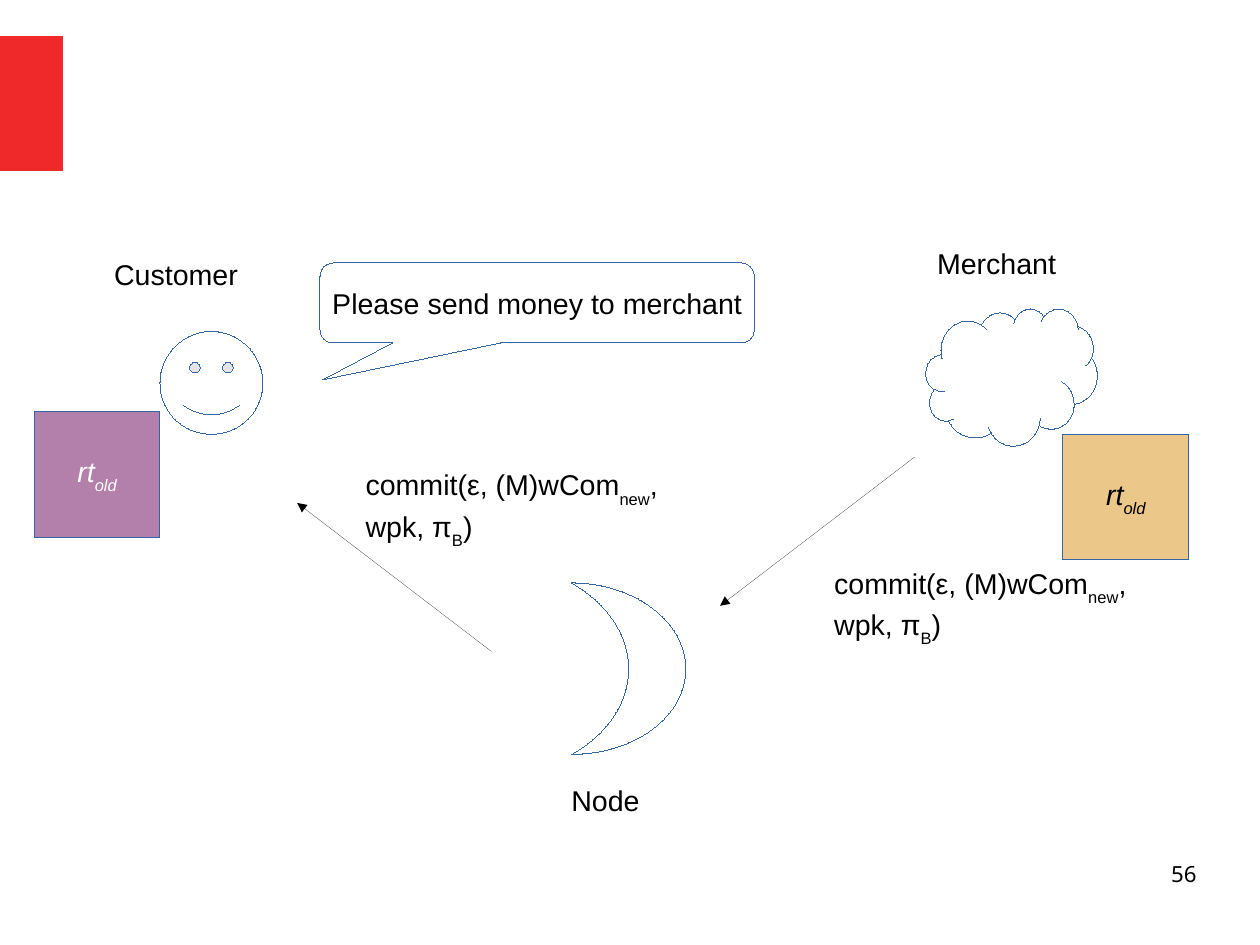
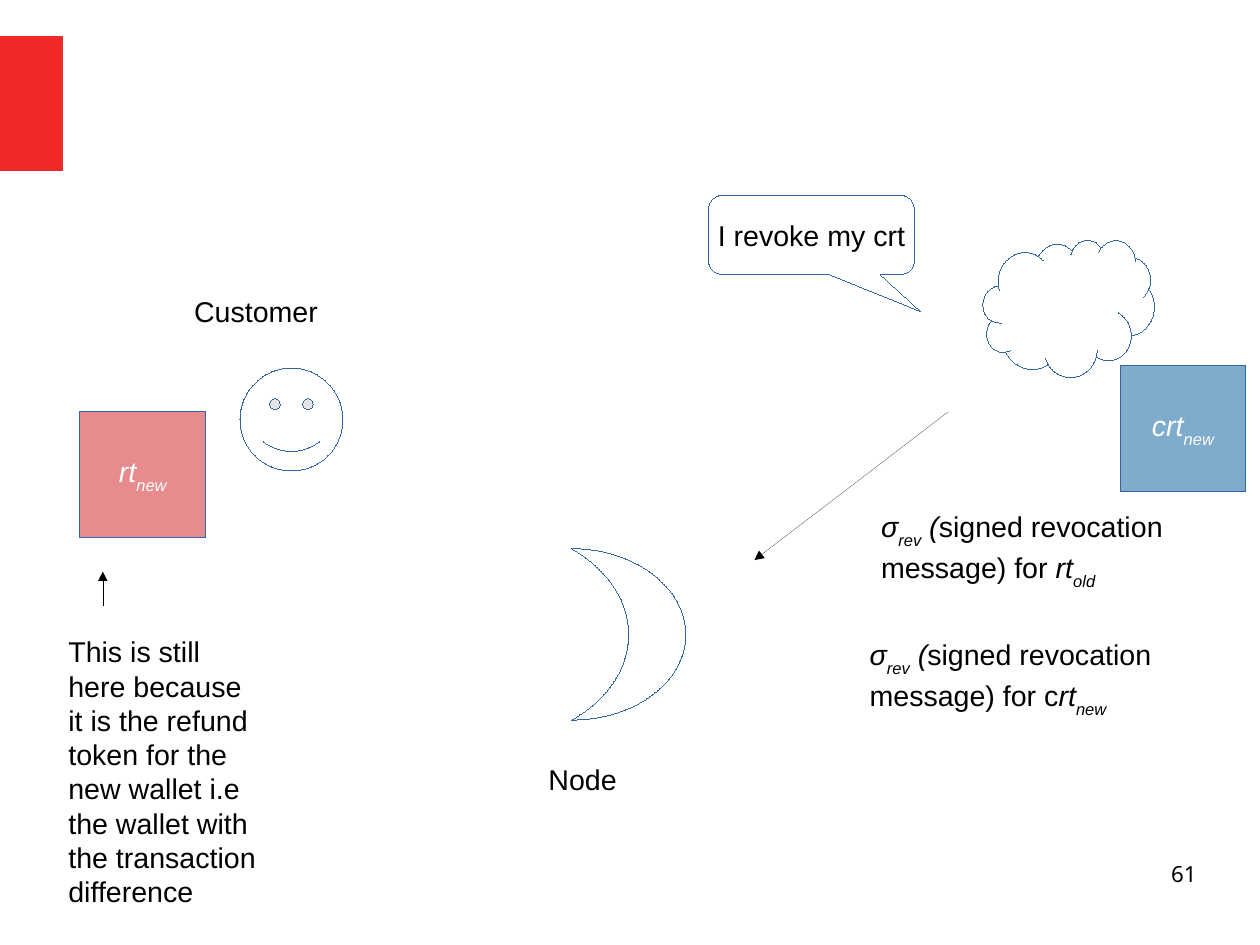
from pptx import Presentation
from pptx import util as u
from pptx.dml.color import RGBColor
from pptx.enum import shapes, text
from pptx.oxml.ns import qn
from lxml import etree

# Shared look
CELL = 0.1  # inches per grid column and row
RED, OUTLINE, WHITE, BLACK = "EF2929", "3465A4", "FFFFFF", "000000"
FONT, NUMBER_FONT = "Arial", "Noto Sans"
ITALIC, SUB, ITALIC_SUB = "i", "s", "is"
TOKEN_SIDE = 11
KIND = shapes.MSO_SHAPE


def cells(*counts):
    return [u.Inches(count * CELL) for count in counts]


def color(value):
    return RGBColor.from_string(value)


def add_child(parent, tag, **attributes):
    return etree.SubElement(parent, qn(tag), attributes)


def hairline(shape, ink):
    shape.line.color.rgb = color(ink)
    outline = shape._element.spPr.find(qn("a:ln"))
    outline.set("w", "0")  # the width property leaves a zero out
    return outline


# Text
def write(frame, runs, size=18, font=FONT, ink=BLACK, align=text.PP_ALIGN.LEFT):
    paragraph = frame.paragraphs[0]
    paragraph.alignment = align
    for words, style in runs:
        run = paragraph.add_run()
        run.text = words
        run.font.size = u.Pt(size)
        run.font.name = font
        run.font.italic = "i" in style
        run.font.color.rgb = color(ink)
        if "s" in style:
            run.font._element.set("baseline", "-33000")


def label(slide, col, row, width, runs, height=3.8, margin=1, **look):
    frame = slide.shapes.add_textbox(*cells(col, row, width, height)).text_frame
    frame.word_wrap = True
    frame.margin_left = frame.margin_right = u.Inches(margin * CELL)
    frame.margin_top = frame.margin_bottom = u.Inches(margin * CELL / 2)
    write(frame, runs, **look)


# Shapes
def figure(slide, kind, col, row, width, height, fill=WHITE, alpha=50, line=OUTLINE):
    shape = slide.shapes.add_shape(kind, *cells(col, row, width, height))
    shape.shadow.inherit = False
    shape.fill.solid()
    shape.fill.fore_color.rgb = color(fill)
    if alpha < 100:
        tint = shape._element.spPr.find(qn("a:solidFill"))[0]
        add_child(tint, "a:alpha", val=str(alpha * 1000))
    if line:
        hairline(shape, line)
    else:
        shape.line.fill.background()
    return shape


def centre_text(shape, runs, ink=BLACK):
    frame = shape.text_frame
    frame.word_wrap = False
    frame.vertical_anchor = text.MSO_ANCHOR.MIDDLE
    write(frame, runs, ink=ink, align=text.PP_ALIGN.CENTER)


def token(slide, col, row, fill, name, age, ink=WHITE):
    square = figure(slide, KIND.RECTANGLE, col, row, TOKEN_SIDE, TOKEN_SIDE, fill)
    centre_text(square, [(name, ITALIC), (age, ITALIC_SUB)], ink)


def speech(slide, col, row, width, height, words, tip):
    bubble = figure(slide, KIND.ROUNDED_RECTANGULAR_CALLOUT, col, row, width, height)
    bubble.adjustments[0], bubble.adjustments[1] = tip
    centre_text(bubble, [(words, "")])


def arrow(slide, start, end):
    line = slide.shapes.add_connector(
        shapes.MSO_CONNECTOR.STRAIGHT, *cells(*start, *end))
    add_child(hairline(line, BLACK), "a:tailEnd", type="triangle")
    add_child(line._element.spPr, "a:effectLst")


# The three parties
def customer(slide, col, row):
    figure(slide, KIND.SMILEY_FACE, col, row, 9, 9)
    label(slide, col - 5, row - 7, 18, [("Customer", "")])


def merchant(slide, col, row):
    figure(slide, KIND.CLOUD, col, row, 15, 12)


def node(slide, row, name_col, name_row):
    figure(slide, KIND.MOON, 50, row, 10, 15).rotation = 180
    label(slide, name_col, name_row, 21, [("Node", "")])


# Messages
def commitment(slide, col, row):
    label(slide, col, row, 33, [
        ("commit(ε, (M)wCom", ""), ("new", SUB), (", wpk, π", ""),
        ("B", SUB), (")", "")], height=7.8)


def revocation(slide, col, row, prefix, name, age):
    label(slide, col, row, 37.9, [
        ("σ", ITALIC), ("rev", ITALIC_SUB), (" (", ITALIC),
        ("signed revocation message) for " + prefix, ""),
        (name, ITALIC), (age, ITALIC_SUB)], height=7.8)


def new_slide(deck, number):
    slide = deck.slides.add_slide(deck.slide_layouts[6])
    figure(slide, KIND.RECTANGLE, 0, 3.15, 5.5, 11.8, RED, alpha=100, line=None)
    label(slide, 79, 75.3, 25.7, [(str(number), "")], height=5.7, margin=0,
          size=14, font=NUMBER_FONT, align=text.PP_ALIGN.RIGHT)
    return slide


def payment_request(deck):
    slide = new_slide(deck, 56)
    customer(slide, 14, 29)
    merchant(slide, 81, 27)
    label(slide, 81, 21, 19, [("Merchant", "")])
    node(slide, 51, 49, 68)
    speech(slide, 28, 23, 38, 7, "Please send money to merchant", (-0.495, 0.963))
    arrow(slide, (80, 40), (63, 53))
    arrow(slide, (43, 57), (26, 44))
    commitment(slide, 31, 40.4)
    commitment(slide, 72, 49)
    token(slide, 3, 36, "680059", "rt", "old")
    token(slide, 93, 38, "D99116", "rt", "old", BLACK)


def token_revocation(deck):
    slide = new_slide(deck, 61)
    customer(slide, 21, 32.2)
    merchant(slide, 86, 21)
    node(slide, 48, 47, 66.2)
    speech(slide, 62, 17.1, 18, 6.9, "I revoke my crt", (0.532, 0.973))
    arrow(slide, (83, 36), (66, 49))
    token(slide, 98, 32, "00599D", "crt", "new")
    token(slide, 7, 36, "CE181E", "rt", "new")
    arrow(slide, (9, 53), (9, 50))
    label(slide, 5, 55, 19, [(
        "This is still here because it is the refund token for the new wallet "
        "i.e the wallet with the transaction difference", "")], height=23.4)
    revocation(slide, 76.1, 44, "", "rt", "old")
    revocation(slide, 75.1, 55.2, "c", "rt", "new")


def main():
    deck = Presentation()
    deck.slide_width, deck.slide_height = u.Cm(28), u.Cm(21)
    payment_request(deck)
    token_revocation(deck)
    deck.save("out.pptx")


if __name__ == "__main__":
    main()
